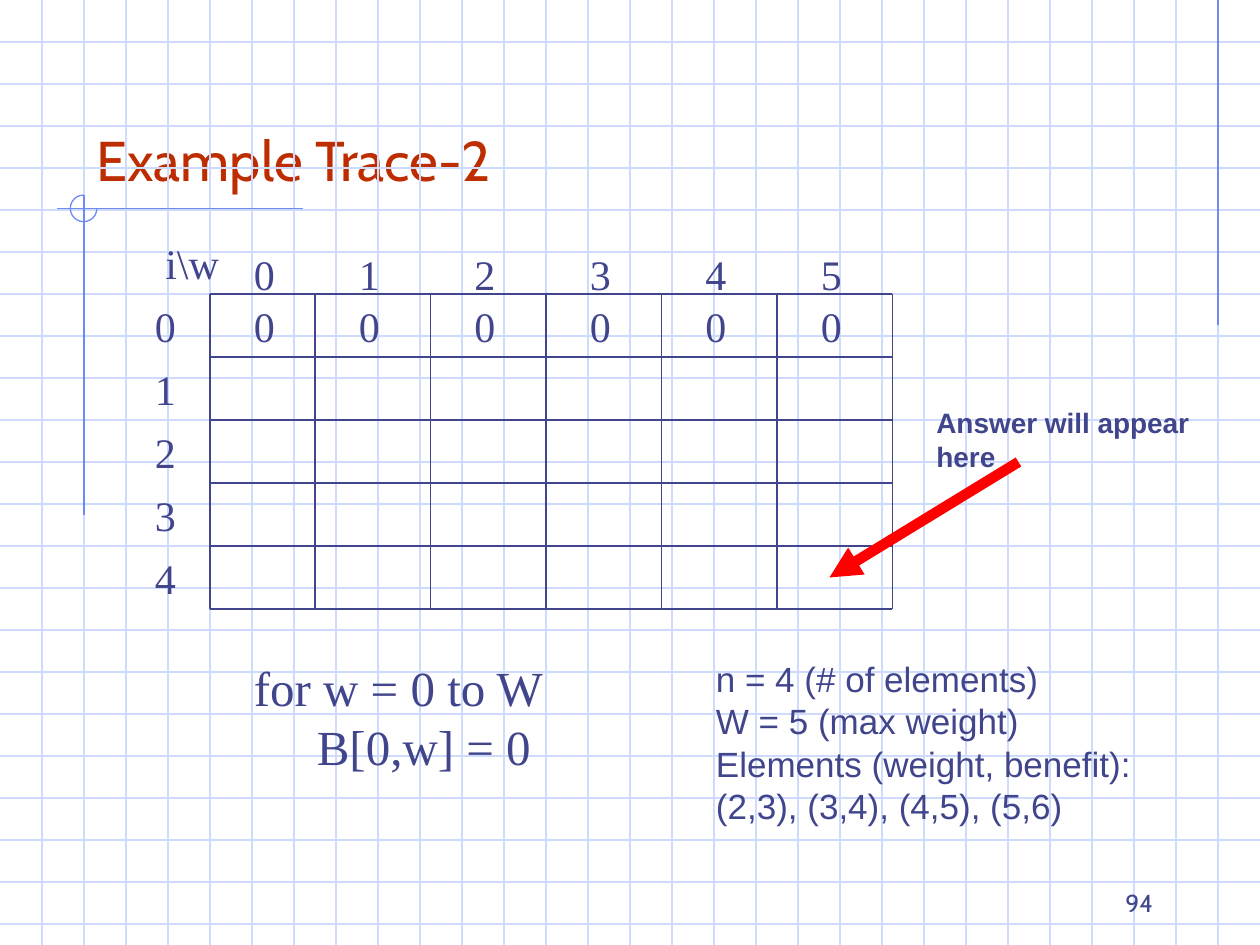
"""Build a slide that traces the first row of a knapsack table."""
from dataclasses import dataclass

from lxml.etree import SubElement
from pptx import Presentation
from pptx.dml.color import RGBColor
from pptx.enum.shapes import MSO_CONNECTOR, MSO_SHAPE
from pptx.enum.text import MSO_ANCHOR, MSO_AUTO_SIZE, PP_ALIGN
from pptx.oxml.ns import qn
from pptx.slide import Slide
from pptx.text.text import TextFrame
from pptx.util import Pt


@dataclass(frozen=True)
class Theme:
    """Hold the colours, fonts and sizes of the slide."""
    ink: str = "40458C"
    heading: str = "BE2D00"
    paper_line: str = "CFDBFD"
    accent: str = "6F89F7"
    arrow: str = "FF0000"
    serif: str = "Times New Roman"
    sans: str = "Arial"
    display: str = "Cabin"
    title_size: float = 32
    code_size: float = 28
    cell_size: float = 24
    facts_size: float = 20
    note_size: float = 16
    number_size: float = 14
    hairline: float = 0.75
    arrow_width: float = 6
    leading: float = 1.21


@dataclass(frozen=True)
class Label:
    """Describe one block of text and its place in points."""
    lines: tuple[str, ...]
    left: float
    top: float
    width: float
    height: float
    size: float
    font: str
    colour: str
    bold: bool = False
    wrap: bool = True
    align: PP_ALIGN = PP_ALIGN.LEFT
    anchor: MSO_ANCHOR = MSO_ANCHOR.TOP


@dataclass(frozen=True)
class Rule:
    """Describe one straight line by its ends in points."""
    x1: float
    y1: float
    x2: float
    y2: float
    colour: str
    width: float
    arrow: bool = False


THEME = Theme()
WIDTH, HEIGHT = 720, 540
PAPER_STEP = 24
COLUMNS = [120, *range(180, 511, 66)]
ROWS = list(range(168, 349, 36))
CELL_INSET = 18
HEADER_TOP = 138
ROW_LABEL_LEFT = 81.4


def fill_text(frame: TextFrame, label: Label) -> None:
    """Write and format the lines of a label."""
    frame.word_wrap = label.wrap
    frame.auto_size = MSO_AUTO_SIZE.NONE
    frame.vertical_anchor = label.anchor
    for index, line in enumerate(label.lines):
        para = frame.paragraphs[0] if index == 0 else frame.add_paragraph()
        para.alignment = label.align
        if label.font != THEME.display:
            para.line_spacing = Pt(label.size * THEME.leading)
        span = para.add_run()
        span.text = line
        span.font.name = label.font
        span.font.size = Pt(label.size)
        span.font.bold = label.bold
        span.font.color.rgb = RGBColor.from_string(label.colour)


def draw_label(page: Slide, label: Label) -> None:
    """Add a text box for a label."""
    box = page.shapes.add_textbox(
        Pt(label.left), Pt(label.top), Pt(label.width), Pt(label.height))
    fill_text(box.text_frame, label)


def draw_title(page: Slide, label: Label) -> None:
    """Place the title placeholder and fill it."""
    title = page.shapes.title
    title.left, title.top = Pt(label.left), Pt(label.top)
    title.width, title.height = Pt(label.width), Pt(label.height)
    fill_text(title.text_frame, label)


def draw_rule(page: Slide, rule: Rule) -> None:
    """Add a straight line, with an arrowhead if asked."""
    line = page.shapes.add_connector(
        MSO_CONNECTOR.STRAIGHT, Pt(rule.x1), Pt(rule.y1), Pt(rule.x2), Pt(rule.y2))
    line.line.color.rgb = RGBColor.from_string(rule.colour)
    line.line.width = Pt(rule.width)
    properties = line._element.spPr
    if rule.arrow:
        SubElement(properties.find(qn("a:ln")), qn("a:tailEnd"), type="triangle")
    SubElement(properties, qn("a:effectLst"))


def draw_lattice(page: Slide, xs: list[int], ys: list[int],
                 bounds: tuple[int, int, int, int], colour: str) -> None:
    """Draw horizontal and vertical lines across the bounds."""
    left, top, right, bottom = bounds
    for y in ys:
        draw_rule(page, Rule(left, y, right, y, colour, THEME.hairline))
    for x in xs:
        draw_rule(page, Rule(x, top, x, bottom, colour, THEME.hairline))


def draw_backdrop(page: Slide) -> None:
    """Draw the squared paper and its accent lines."""
    draw_lattice(page, list(range(PAPER_STEP, WIDTH, PAPER_STEP)),
                 list(range(PAPER_STEP, HEIGHT, PAPER_STEP)),
                 (0, 0, WIDTH, HEIGHT), THEME.paper_line)
    for ends in ((696, 0, 696, 186), (173, 119.2, 32.5, 119.2), (48, 111.5, 48, 294.5)):
        draw_rule(page, Rule(*ends, THEME.accent, THEME.hairline))
    ring = page.shapes.add_shape(MSO_SHAPE.ARC, Pt(40.2), Pt(111.5), Pt(15.2), Pt(15.2))
    ring.adjustments[0], ring.adjustments[1] = 0, 162
    ring.shadow.inherit = False
    ring.fill.background()
    ring.line.color.rgb = RGBColor.from_string(THEME.accent)
    ring.line.width = Pt(THEME.hairline)


def draw_digit(page: Slide, digit: int, left: float, top: float) -> None:
    """Write one number of the trace table."""
    draw_label(page, Label((str(digit),), left, top, 26, 36, THEME.cell_size,
                           THEME.serif, THEME.ink, wrap=False))


def draw_trace(page: Slide) -> None:
    """Draw the table grid with its indices and first row."""
    draw_lattice(page, COLUMNS, ROWS,
                 (COLUMNS[0], ROWS[0], COLUMNS[-1], ROWS[-1]), THEME.ink)
    for weight, left in enumerate(COLUMNS[:-1]):
        draw_digit(page, weight, left + CELL_INSET, HEADER_TOP)
        draw_digit(page, 0, left + CELL_INSET, ROWS[0])
    for item, top in enumerate(ROWS[:-1]):
        draw_digit(page, item, ROW_LABEL_LEFT, top)


def main() -> None:
    """Assemble and save the deck."""
    deck = Presentation()
    deck.slide_width, deck.slide_height = Pt(WIDTH), Pt(HEIGHT)
    page = deck.slides.add_slide(deck.slide_layouts[5])
    draw_backdrop(page)
    draw_title(page, Label(("Example Trace-2",), 48, 24, 612, 90, THEME.title_size,
                           THEME.display, THEME.heading, anchor=MSO_ANCHOR.BOTTOM))
    draw_trace(page)
    labels = (
        Label(("for w = 0 to W", "\tB[0,w] = 0"), 138, 372, 270, 75,
              THEME.code_size, THEME.serif, THEME.ink),
        Label(("i\\w",), 82.8, 132, 54, 36, THEME.cell_size, THEME.serif,
              THEME.ink, align=PP_ALIGN.CENTER),
        Label(("n = 4 (# of elements)", "W = 5 (max weight)",
               "Elements (weight, benefit):", "(2,3), (3,4), (4,5), (5,6)"),
              402, 372, 300, 140, THEME.facts_size, THEME.sans, THEME.ink),
        Label(("Answer will appear here",), 528, 228, 174, 46,
              THEME.note_size, THEME.sans, THEME.ink, bold=True),
        Label(("94",), 516, 492, 150, 36, THEME.number_size, THEME.display,
              THEME.ink, align=PP_ALIGN.RIGHT, anchor=MSO_ANCHOR.BOTTOM),
    )
    for label in labels:
        draw_label(page, label)
    draw_rule(page, Rule(582, 264, 474, 330, THEME.arrow, THEME.arrow_width, True))
    deck.save("out.pptx")


if __name__ == "__main__":
    main()
